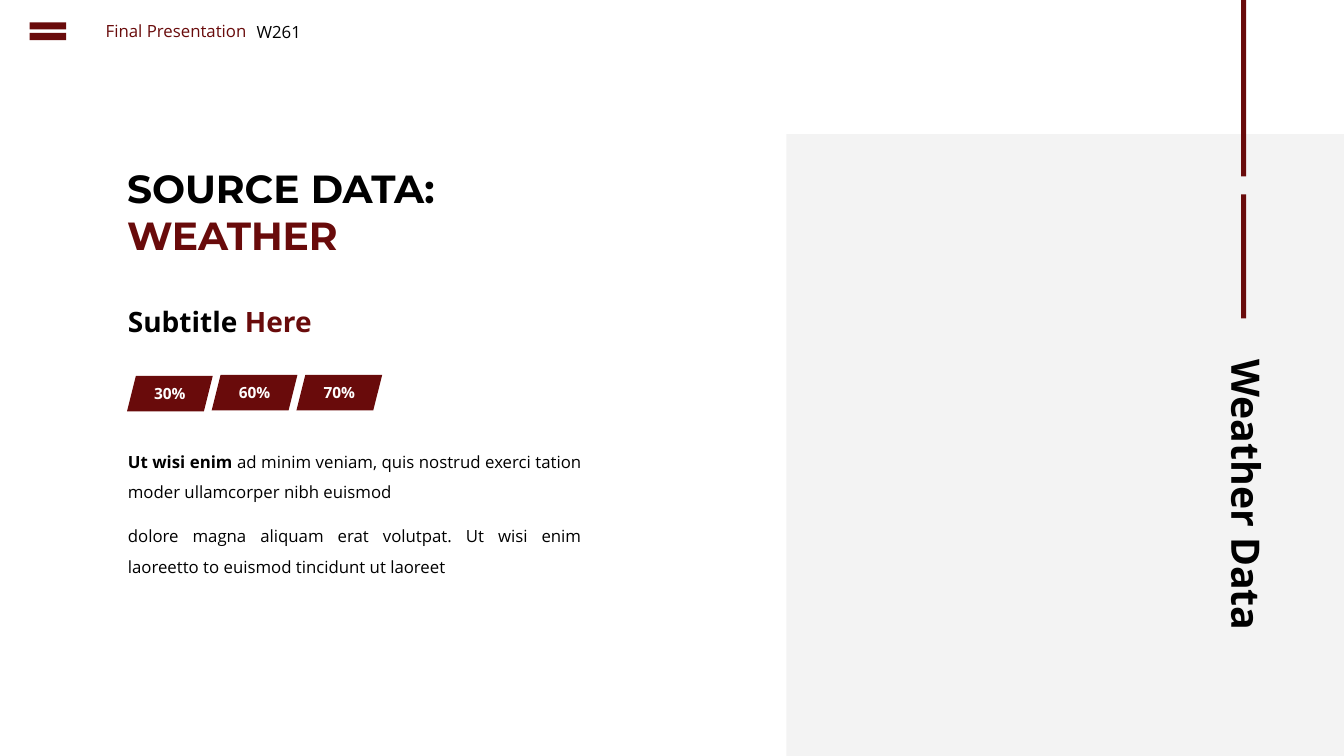
import pptx
import pptx.dml.color
import pptx.enum.shapes
import pptx.enum.text
import pptx.oxml.ns
import pptx.util
from lxml import etree

PX = 9144  # 100 px to the inch
SHAPE = pptx.enum.shapes.MSO_SHAPE
ALIGN = pptx.enum.text.PP_ALIGN
ANCHOR = pptx.enum.text.MSO_ANCHOR
FIT = pptx.enum.text.MSO_AUTO_SIZE

COLORS = {"ink": "000000", "wine": "690B0B", "panel": "F2F2F2", "paper": "FFFFFF"}


def color(name):
    return pptx.dml.color.RGBColor.from_string(COLORS[name])


def apply(item, form):
    for key, value in form.items():
        setattr(item, key, value)


def place(item, box):
    apply(item, dict(zip(("left", "top", "width", "height"), (n * PX for n in box))))


def write(frame, paras, size, font="Open Sans", form=None):
    """Fill a frame; each paragraph is a list of (text, colour, bold) runs."""
    for i, runs in enumerate(paras):
        para = frame.paragraphs[0] if i == 0 else frame.add_paragraph()
        apply(para, {"alignment": ALIGN.LEFT, **(form or {})})
        if i == 0:
            para.space_before = pptx.util.Pt(0)
        for text, tint, bold in runs:
            run = para.add_run()
            run.text = text
            apply(run.font, {"size": pptx.util.Pt(size), "name": font, "bold": bold})
            run.font.color.rgb = color(tint)


def label(slide, box, paras, size, wrap=True, form=None):
    item = slide.shapes.add_textbox(*(n * PX for n in box))
    item.text_frame.word_wrap = wrap
    write(item.text_frame, paras, size, form=form)
    return item


def block(slide, kind, box, tint, alpha=100):
    item = slide.shapes.add_shape(kind, *(n * PX for n in box))
    item.shadow.inherit = False
    item.fill.solid()
    item.fill.fore_color.rgb = color(tint)
    item.line.fill.background()
    if alpha < 100:
        qn = pptx.oxml.ns.qn
        fill = item.fill._xPr.find(qn("a:solidFill"))
        etree.SubElement(fill[0], qn("a:alpha"), val=str(alpha * 1000))
    return item


def badge(slide, box, text):
    item = block(slide, SHAPE.PARALLELOGRAM, box, "wine")
    item.text_frame.vertical_anchor = ANCHOR.MIDDLE
    write(item.text_frame, [[(text, "paper", True)]], 11, form={"alignment": ALIGN.CENTER})


def headline(slide):
    title = slide.shapes.title
    place(title, (116, 158, 494, 104))
    apply(title.text_frame, {"vertical_anchor": ANCHOR.TOP, "word_wrap": True,
                             "auto_size": FIT.NONE})
    write(title.text_frame, [[("SOURCE DATA:", "ink", True)], [("WEATHER", "wine", True)]],
          28, "Montserrat")


def header(slide):
    label(slide, (244, 17, 65, 30), [[("W261", "ink", False)]], 12, False,
          {"alignment": ALIGN.CENTER})
    label(slide, (95, 16, 162, 30), [[("Final Presentation", "wine", False)]], 12, False)
    block(slide, SHAPE.MATH_EQUAL, (23, 16, 49, 30), "wine")


def sidebar(slide):
    block(slide, SHAPE.RECTANGLE, (780, 133, 553, 617), "panel", 90)
    side = label(slide, (1077, 478, 319, 57), [[("Weather Data", "ink", True)]], 28)
    side.rotation = 90
    for top, height in ((0, 175), (193, 123)):
        block(slide, SHAPE.RECTANGLE, (1231, top, 5, height), "wine")


def content(slide):
    label(slide, (117, 297, 386, 44),
          [[("Subtitle ", "ink", True), ("Here", "wine", True)]], 20)
    label(slide, (117, 433, 470, 159), [
        [("Ut wisi enim ", "ink", True),
         ("ad minim veniam, quis nostrud exerci tation moder ullamcorper nibh euismod",
          "ink", False)],
        [("dolore magna aliquam erat volutpat. Ut wisi enim laoreetto to euismod "
          "tincidunt ut laoreet", "ink", False)],
    ], 12, form={"alignment": ALIGN.JUSTIFY, "line_spacing": 1.5,
                 "space_before": pptx.util.Pt(10)})
    for i, (text, top) in enumerate((("30%", 373), ("60%", 372), ("70%", 372))):
        badge(slide, (126 + 84 * i, top, 85, 35), text)


def main():
    deck = pptx.Presentation()
    apply(deck, {"slide_width": 1333 * PX, "slide_height": 750 * PX})
    slide = deck.slides.add_slide(deck.slide_layouts[5])
    sidebar(slide)
    header(slide)
    headline(slide)
    content(slide)
    deck.save("out.pptx")


if __name__ == "__main__":
    main()
